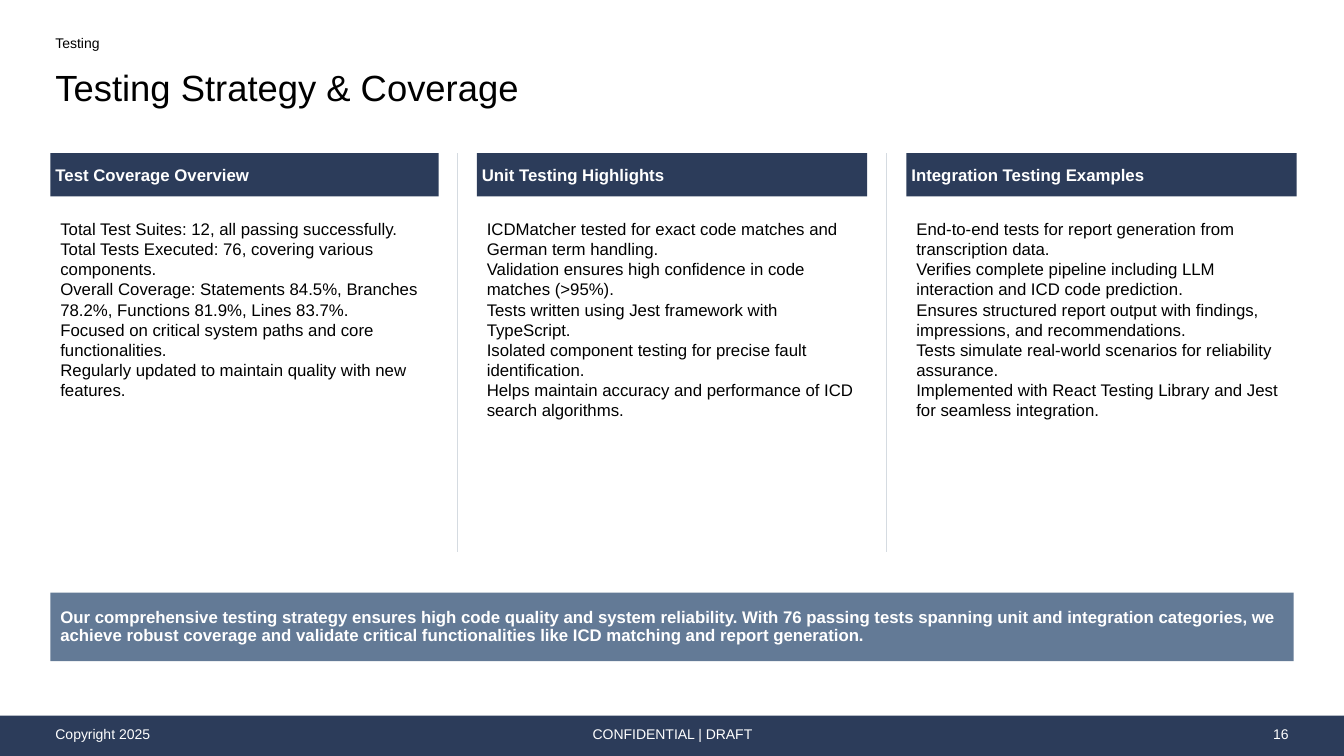
from pptx import Presentation
from pptx.dml.color import RGBColor
from pptx.enum.shapes import MSO_CONNECTOR, MSO_SHAPE
from pptx.enum.text import MSO_ANCHOR, PP_ALIGN
from pptx.oxml.ns import qn
from pptx.util import Inches, Pt
from lxml.etree import SubElement

SECTION = "Testing"
TITLE = "Testing Strategy & Coverage"
COLUMNS = [
    ("Test Coverage Overview", [
        "Total Test Suites: 12, all passing successfully.",
        "Total Tests Executed: 76, covering various components.",
        "Overall Coverage: Statements 84.5%, Branches 78.2%, Functions 81.9%, Lines 83.7%.",
        "Focused on critical system paths and core functionalities.",
        "Regularly updated to maintain quality with new features.",
    ]),
    ("Unit Testing Highlights", [
        "ICDMatcher tested for exact code matches and German term handling.",
        "Validation ensures high confidence in code matches (>95%).",
        "Tests written using Jest framework with TypeScript.",
        "Isolated component testing for precise fault identification.",
        "Helps maintain accuracy and performance of ICD search algorithms.",
    ]),
    ("Integration Testing Examples", [
        "End-to-end tests for report generation from transcription data.",
        "Verifies complete pipeline including LLM interaction and ICD code prediction.",
        "Ensures structured report output with findings, impressions, and recommendations.",
        "Tests simulate real-world scenarios for reliability assurance.",
        "Implemented with React Testing Library and Jest for seamless integration.",
    ]),
]
SUMMARY = (
    "Our comprehensive testing strategy ensures high code quality and system reliability. "
    "With 76 passing tests spanning unit and integration categories, we achieve robust coverage "
    "and validate critical functionalities like ICD matching and report generation."
)
# text, left, width, alignment
FOOTER = [
    ("Copyright 2025", 0.5, 3.97, PP_ALIGN.LEFT),
    ("CONFIDENTIAL | DRAFT", 4.42, 4.5, PP_ALIGN.CENTER),
    ("16", 9.83, 3, PP_ALIGN.RIGHT),
]

FONT = "Arial"
NAVY = RGBColor(0x2C, 0x3C, 0x5A)
SLATE = RGBColor(0x63, 0x7A, 0x96)
RULE_GREY = RGBColor(0xD5, 0xDB, 0xE1)
WHITE = RGBColor(0xFF, 0xFF, 0xFF)
BLACK = RGBColor(0, 0, 0)

SLIDE_W, SLIDE_H = 13.33, 7.5
MARGIN = 0.5
CONTENT_W = 12.33
COLUMN_LEFTS = [MARGIN, 4.73, 8.99]
COLUMN_WIDTHS = [3.85, 3.87, 3.87]
COLUMN_TOP, HEADER_H = 1.52, 0.43
BODY_TOP, BODY_H = 2.12, 3.59
DIVIDER_H = 3.96
FOOTER_TOP = 7.1


def write(shape, *lines, size=12, color=BLACK, bold=False, align=PP_ALIGN.LEFT,
          anchor=MSO_ANCHOR.MIDDLE, inset=(0.05, 0.05, 0.05, 0.05), line_spacing=None):
    """Fill a shape with one paragraph per line; inset is left, top, right, bottom."""
    frame = shape.text_frame
    frame.word_wrap = True
    frame.vertical_anchor = anchor
    (frame.margin_left, frame.margin_top,
     frame.margin_right, frame.margin_bottom) = map(Inches, inset)
    frame.text = "\n".join(lines)
    for paragraph in frame.paragraphs:
        paragraph.alignment = align
        paragraph.line_spacing = line_spacing
        for run in paragraph.runs:
            run.font.name = FONT
            run.font.size = Pt(size)
            run.font.bold = bold
            run.font.color.rgb = color


def add_text_box(slide, *box):
    return slide.shapes.add_textbox(*map(Inches, box))


def add_bar(slide, fill, *box):
    bar = slide.shapes.add_shape(MSO_SHAPE.RECTANGLE, *map(Inches, box))
    bar.shadow.inherit = False
    bar.fill.solid()
    bar.fill.fore_color.rgb = fill
    bar.line.fill.background()
    return bar


def add_divider(slide, x):
    divider = slide.shapes.add_connector(
        MSO_CONNECTOR.STRAIGHT, Inches(x), Inches(COLUMN_TOP),
        Inches(x), Inches(COLUMN_TOP + DIVIDER_H))
    divider.line.color.rgb = RULE_GREY
    divider.line.width = Pt(1)
    SubElement(divider._element.spPr, qn("a:effectLst"))


def main():
    deck = Presentation()
    deck.slide_width, deck.slide_height = Inches(SLIDE_W), Inches(SLIDE_H)
    slide = deck.slides.add_slide(deck.slide_layouts[6])

    add_bar(slide, NAVY, 0, FOOTER_TOP, SLIDE_W, SLIDE_H - FOOTER_TOP)
    for label, left, width, align in FOOTER:
        write(add_text_box(slide, left, FOOTER_TOP + 0.04, width, 0.28), label,
              size=10, color=WHITE, align=align)

    write(add_text_box(slide, MARGIN, 0.6, CONTENT_W, 0.54), TITLE,
          size=26, inset=(0.05, 0.05, 0.05, 0), line_spacing=0.9)
    write(add_text_box(slide, MARGIN, 0.31, CONTENT_W, 0.29), SECTION,
          size=10, anchor=MSO_ANCHOR.TOP, line_spacing=0.9)

    previous_right = None
    for (heading, points), left, width in zip(COLUMNS, COLUMN_LEFTS, COLUMN_WIDTHS):
        write(add_text_box(slide, left, BODY_TOP, width, BODY_H), *points,
              anchor=MSO_ANCHOR.TOP, inset=(0.1, 0.05, 0.1, 0.05))
        write(add_bar(slide, NAVY, left, COLUMN_TOP, width, HEADER_H), heading,
              color=WHITE, bold=True)
        if previous_right is not None:
            add_divider(slide, (previous_right + left) / 2)
        previous_right = left + width

    write(add_bar(slide, SLATE, MARGIN, 5.88, CONTENT_W, 0.68), SUMMARY,
          color=WHITE, bold=True, inset=(0.1, 0.1, 0.1, 0.1), line_spacing=0.9)

    deck.save("out.pptx")


if __name__ == "__main__":
    main()
